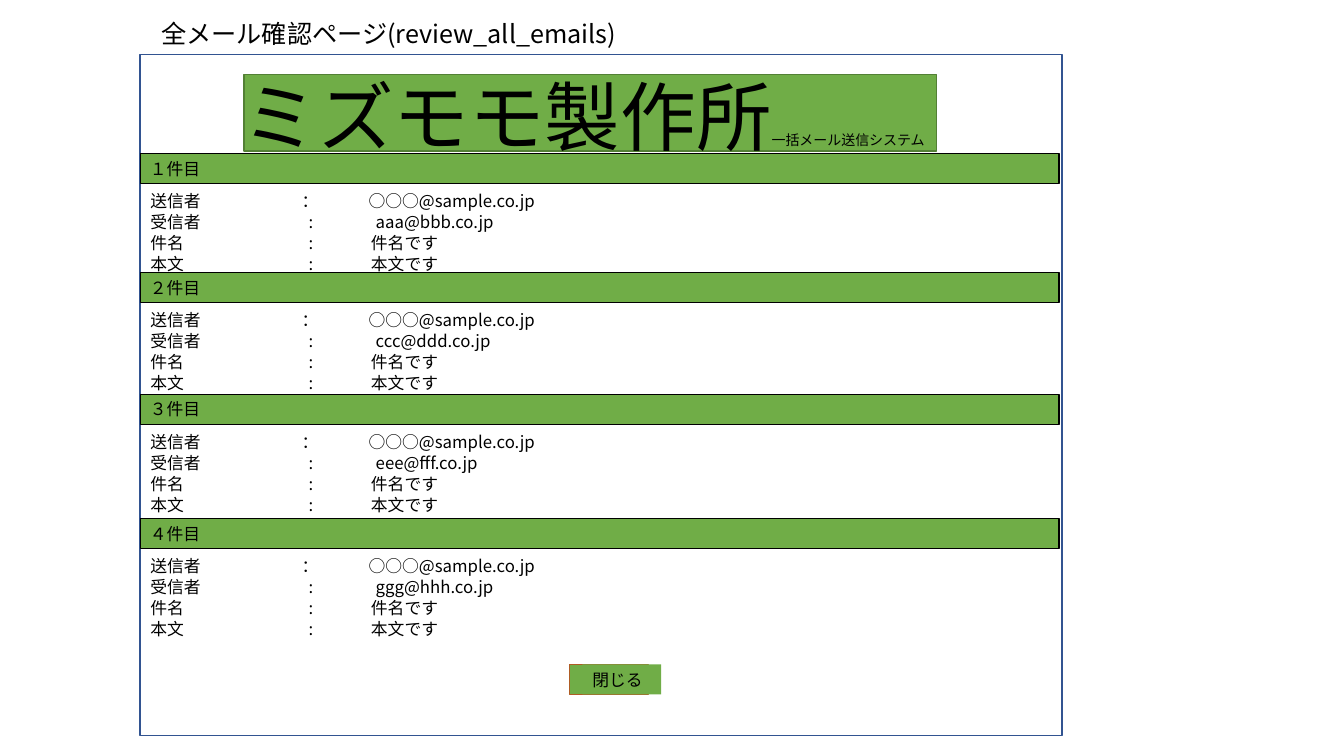
from lxml import etree
from pptx import Presentation
from pptx.dml.color import RGBColor
from pptx.enum.shapes import MSO_SHAPE
from pptx.enum.text import MSO_ANCHOR, MSO_AUTO_SIZE, PP_ALIGN
from pptx.oxml.ns import qn
from pptx.util import Cm, Pt

RECT = MSO_SHAPE.RECTANGLE
LEFT, CENTER = PP_ALIGN.LEFT, PP_ALIGN.CENTER
FONT = "Noto Sans CJK JP"
COLORS = {"text": "000000", "green": "70AD47", "dark_green": "538035",
          "frame": "325491", "button_line": "AF5C24"}


def add_box(box, fill=None, line=None, width=1):
    sp = s.shapes.add_shape(RECT, *map(Cm, box))
    sp.shadow.inherit = False
    for fmt, color in ((sp.fill, fill), (sp.line.fill, line)):
        if color:
            fmt.solid()
            fmt.fore_color.rgb = RGBColor.from_string(COLORS[color])
        else:
            fmt.background()
    if line:
        sp.line.width = Pt(width)
    return sp


def write(sp, *runs, align=LEFT, tabs=()):
    """Fill sp with one paragraph of (text, size) runs; tabs are stops in cm."""
    tf = sp.text_frame
    frame_format = {"word_wrap": True, "vertical_anchor": MSO_ANCHOR.TOP,
                    "auto_size": MSO_AUTO_SIZE.SHAPE_TO_FIT_TEXT,
                    "margin_left": Cm(0.25), "margin_right": Cm(0.25),
                    "margin_top": Cm(0.13), "margin_bottom": Cm(0.13)}
    for name, value in frame_format.items():
        setattr(tf, name, value)
    p = tf.paragraphs[0]
    p.alignment = align
    p.line_spacing = 1.0
    if tabs:
        tab_list = etree.SubElement(p._p.get_or_add_pPr(), qn("a:tabLst"))
        for stop in tabs:
            etree.SubElement(tab_list, qn("a:tab"), pos=str(Cm(stop)), algn="l")
    for text, size in runs:
        r = p.add_run()
        r.text = text
        r.font.name = FONT
        r.font.size = Pt(size)
        r.font.color.rgb = RGBColor.from_string(COLORS["text"])
        etree.SubElement(r._r.get_or_add_rPr(), qn("a:ea"), typeface=FONT)


prs = Presentation()
prs.slide_width, prs.slide_height = Cm(33.87), Cm(19.05)
s = prs.slides.add_slide(prs.slide_layouts[5])

# Page title and frame
title = s.shapes.title
title.left, title.top, title.width, title.height = map(Cm, (3.81, 0.33, 12.88, 1.02))
write(title, ("全メール確認ページ(review_all_emails)", 18))
add_box((3.53, 1.37, 23.24, 17.17), line="frame")

# Banner
add_box((6.15, 1.88, 17.45, 1.93), "green", "dark_green")
banner = s.shapes.add_textbox(*map(Cm, (5.56, 1.63, 18.29, 2.57)))
write(banner, ("ミズモモ製作所", 54), ("一括メール送信システム", 10), align=CENTER)

# Mails: a heading bar and four rows each
mails = [("１件目", 3.86, "aaa@bbb.co.jp"), ("２件目", 6.86, "ccc@ddd.co.jp"),
         ("３件目", 9.93, "eee@fff.co.jp"), ("４件目", 13.06, "ggg@hhh.co.jp")]
for heading, top, receiver in mails:
    bar = add_box((3.53, top, 23.16, 0.77), "green", "text", 0.75)
    write(bar, (heading, 12))
    rows = [("送信者", "：", "○○○@sample.co.jp", 23.14, (3.81, 5.5)),
            ("受信者", ":", receiver, 15.11, (3.99, 5.68)),
            ("件名", ":", "件名です", 15.11, (3.99, 5.56)),
            ("本文", ":", "本文です", 15.11, (3.99, 5.56))]
    for i, (label, colon, value, width, tabs) in enumerate(rows):
        row = s.shapes.add_textbox(Cm(3.54), Cm(top + 0.81 + 0.53 * i), Cm(width), Cm(0.76))
        write(row, (f"{label}\t{colon}\t{value}", 12), tabs=tabs)

# Close button
add_box((14.35, 16.74, 1.98, 0.76), "green", "button_line")
button = add_box((14.68, 16.74, 1.98, 0.76), "green")
write(button, ("閉じる", 12))

prs.save("out.pptx")
